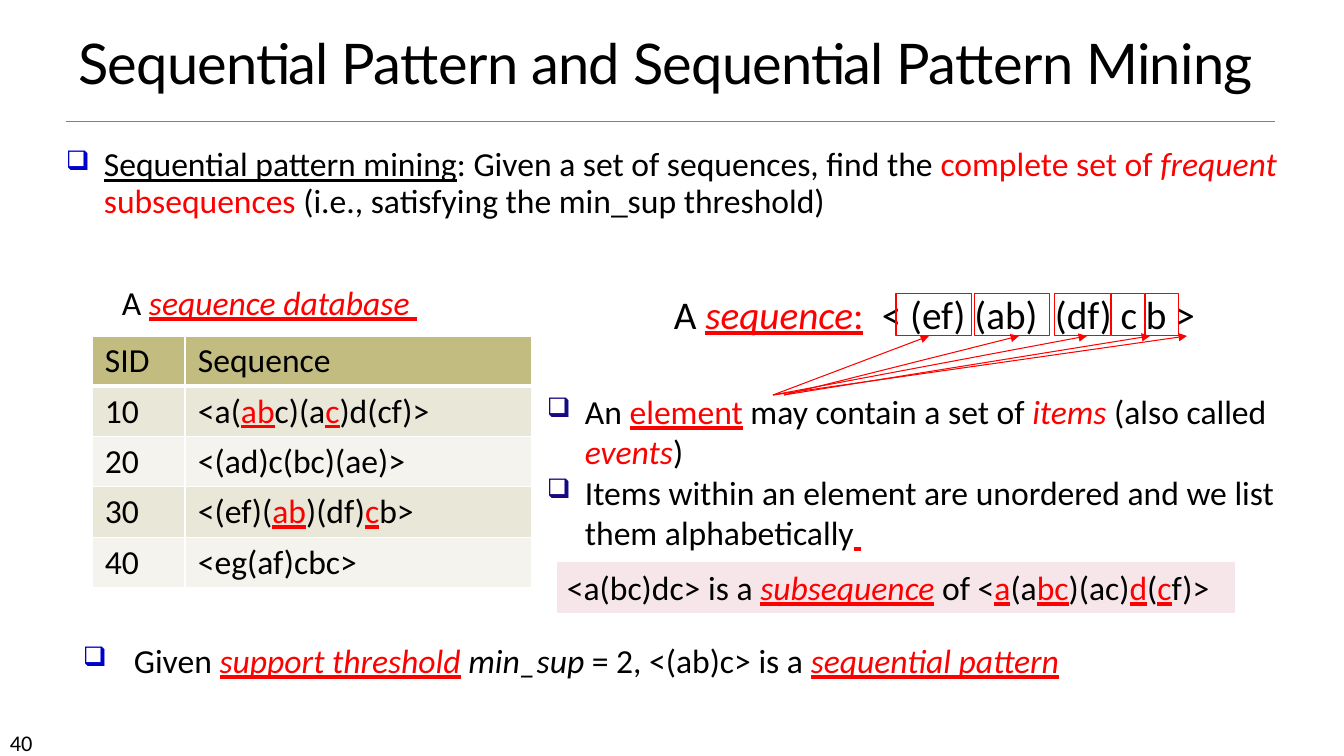
from lxml import etree
from pptx import Presentation
from pptx.dml.color import RGBColor
from pptx.enum.dml import MSO_LINE
from pptx.enum.shapes import MSO_CONNECTOR, MSO_SHAPE
from pptx.enum.text import MSO_ANCHOR, PP_ALIGN
from pptx.oxml.ns import qn
from pptx.util import Pt

SOLID = MSO_LINE.SOLID
STRAIGHT = MSO_CONNECTOR.STRAIGHT
RECT = MSO_SHAPE.RECTANGLE
TOP, BOTTOM = MSO_ANCHOR.TOP, MSO_ANCHOR.BOTTOM
LEFT, CENTER = PP_ALIGN.LEFT, PP_ALIGN.CENTER

PX = 914400 / 100.8
BLACK, RED, WHITE, GREY = "000000", "FF0000", "FFFFFF", "808080"
BLUE, NAVY, PINK = "0000CC", "170981", "F6E6EA"
HEADER_FILL, BAND_FILLS = "C2BC80", ("E9E7D8", "F4F3ED")

# A paragraph is a list of (text, style); style letters: r red, i italic, u underline.
TITLE = [("Sequential Pattern and Sequential Pattern Mining ", "")]
PAGE = [("40", "")]
DEFINITION = [
    ("Sequential pattern mining", "u"),
    (": Given a set of sequences, find the ", ""),
    ("complete set of ", "r"), ("frequent ", "ri"), ("subsequences ", "r"),
    ("(i.e., satisfying the min_sup threshold)", ""),
]
DATABASE_LABEL = [("A ", ""), ("sequence database ", "riu")]
SEQUENCE = [("A ", ""), ("sequence", "riu"), (":", "ru"),
            ("\t< (ef) (ab)\t(df) c b >", "")]
ELEMENT_NOTES = [
    [("An ", ""), ("element", "ru"), (" may contain a set of ", ""),
     ("items", "ri"), (" (also called ", ""), ("events", "ri"), (")", "")],
    [("Items within an element are unordered and we list them alphabetically", ""),
     (" ", "riu")],
]
SUBSEQUENCE = [
    ("<a(bc)dc> is a ", ""), ("subsequence", "riu"), (" of <", ""),
    ("a", "ru"), ("(a", ""), ("bc", "ru"), (")(ac)", ""), ("d", "ru"),
    ("(", ""), ("c", "ru"), ("f)>", ""),
]
SUPPORT = [
    ("Given ", ""), ("support threshold", "riu"), (" min_sup ", "i"),
    ("= 2, <(ab)c> is a ", ""), ("sequential pattern", "riu"),
]
DATABASE = [
    ([("SID", "")], [("Sequence", "")]),
    ([("10", "")], [("<a(", ""), ("ab", "ru"), ("c)(a", ""), ("c", "ru"), (")d(cf)>", "")]),
    ([("20", "")], [("<(ad)c(bc)(ae)>", "")]),
    ([("30", "")], [("<(ef)(", ""), ("ab", "ru"), (")(df)", ""), ("c", "ru"), ("b>", "")]),
    ([("40", "")], [("<eg(af)cbc>", "")]),
]
COLUMN_WIDTHS, ROW_HEIGHT = (93, 347), 50

# Each element of the sequence: box left, box width, arrow start x, arrow tip x.
ELEMENTS = [
    (896, 76, 773, 929),
    (975, 75, 784, 1019),
    (1055, 56, 773, 1087),
    (1112, 33, 784, 1150),
    (1146, 33, 773, 1187),
]
BOX_TOP, BOX_HEIGHT, ARROW_START_Y = 294, 42, 395


def px(n):
    return round(n * PX)


def rgb(value):
    return RGBColor.from_string(value)


def add_xml(parent, tag, **attrs):
    return etree.SubElement(parent, qn(tag), {k: str(v) for k, v in attrs.items()})


def write(tf, paragraphs, size=24, font="Calibri", align=LEFT, spacing=None,
          bullet=None, indent=38, tabs=(), track=None):
    for i, runs in enumerate(paragraphs):
        p = tf.paragraphs[0] if i == 0 else tf.add_paragraph()
        p.alignment = align
        if spacing:
            p.line_spacing = spacing
        pPr = p._p.get_or_add_pPr()
        if bullet:
            pPr.set("marL", str(px(indent)))
            pPr.set("indent", str(-px(indent)))
            add_xml(add_xml(pPr, "a:buClr"), "a:srgbClr", val=bullet)
            add_xml(pPr, "a:buSzPct", val=80000)
            add_xml(pPr, "a:buChar", char="❑")
        if tabs:
            stops = add_xml(pPr, "a:tabLst")
            for stop in tabs:
                add_xml(stops, "a:tab", pos=px(stop), algn="l")
        for text, style in runs:
            r = p.add_run()
            r.text = text
            r.font.name, r.font.size = font, Pt(size)
            r.font.italic = "i" in style
            r.font.underline = "u" in style
            r.font.color.rgb = rgb(RED if "r" in style else BLACK)
            if track:
                r._r.get_or_add_rPr().set("spc", str(track))


def add_text(slide, box, paragraphs, anchor=TOP, wrap=True, **fmt):
    tf = slide.shapes.add_textbox(*map(px, box)).text_frame
    tf.word_wrap, tf.vertical_anchor = wrap, anchor
    write(tf, paragraphs, **fmt)


def add_rect(slide, box, fill=None, line=None):
    sp = slide.shapes.add_shape(RECT, *map(px, box))
    sp.shadow.inherit = False
    if fill:
        sp.fill.solid()
        sp.fill.fore_color.rgb = rgb(fill)
    else:
        sp.fill.background()
    if line:
        sp.line.color.rgb, sp.line.width = rgb(line), Pt(0.75)
    else:
        sp.line.fill.background()
    return sp


def add_line(slide, ends, color, width, arrow=False):
    line = slide.shapes.add_connector(STRAIGHT, *map(px, ends))
    line.line.color.rgb, line.line.width = rgb(color), Pt(width)
    line.line.dash_style = SOLID
    if arrow:
        add_xml(line.line._get_or_add_ln(), "a:tailEnd", type="triangle")
    add_xml(line._element.spPr, "a:effectLst")


def style_cell(cell, fill, bottom_width):
    tcPr = cell._tc.get_or_add_tcPr()
    for side in "LRTB":
        width = bottom_width if side == "B" else 1
        ln = add_xml(tcPr, f"a:ln{side}", w=Pt(width))
        add_xml(add_xml(ln, "a:solidFill"), "a:srgbClr", val=WHITE)
    cell.fill.solid()
    cell.fill.fore_color.rgb = rgb(fill)
    cell.margin_left = cell.margin_right = px(13)
    cell.margin_top = cell.margin_bottom = px(5)


def add_database(slide):
    table = slide.shapes.add_table(
        len(DATABASE), len(COLUMN_WIDTHS), px(92), px(336),
        px(sum(COLUMN_WIDTHS)), px(ROW_HEIGHT * len(DATABASE))).table
    for column, width in zip(table.columns, COLUMN_WIDTHS):
        column.width = px(width)
    for i, row in enumerate(DATABASE):
        fill = BAND_FILLS[(i - 1) % 2] if i else HEADER_FILL
        for j, runs in enumerate(row):
            cell = table.cell(i, j)
            style_cell(cell, fill, 1 if i else 3)
            write(cell.text_frame, [runs])


def main():
    prs = Presentation()
    prs.slide_width, prs.slide_height = px(1344), px(756)
    slide = prs.slides.add_slide(prs.slide_layouts[6])

    add_line(slide, (66, 121, 1275, 121), GREY, 0.5)
    add_text(slide, (0, 724, 118, 30), [PAGE], size=16)
    add_text(slide, (-33, 37, 1411, 64), [TITLE], anchor=BOTTOM, size=40,
             font="Lato", align=CENTER, spacing=0.85, track=-50)
    add_text(slide, (56, 143, 1243, 90), [DEFINITION], spacing=0.9, bullet=BLUE)
    add_text(slide, (112, 277, 318, 50), [DATABASE_LABEL], wrap=False)
    add_text(slide, (664, 285, 554, 57), [SEQUENCE], size=28, tabs=(208, 381))
    add_text(slide, (537, 386, 806, 173), ELEMENT_NOTES, bullet=NAVY)

    banner = add_rect(slide, (557, 562, 678, 51), fill=PINK)
    banner.text_frame.word_wrap = True
    banner.text_frame.vertical_anchor = TOP
    write(banner.text_frame, [SUBSEQUENCE])

    for left, width, start_x, tip_x in ELEMENTS:
        add_rect(slide, (left, BOX_TOP, width, BOX_HEIGHT), line=RED)
        add_line(slide, (start_x, ARROW_START_Y, tip_x, BOX_TOP + BOX_HEIGHT),
                 RED, 0.75, arrow=True)

    add_database(slide)
    add_text(slide, (73, 635, 1006, 60), [SUPPORT], bullet=BLUE, indent=51)
    prs.save("out.pptx")


if __name__ == "__main__":
    main()
